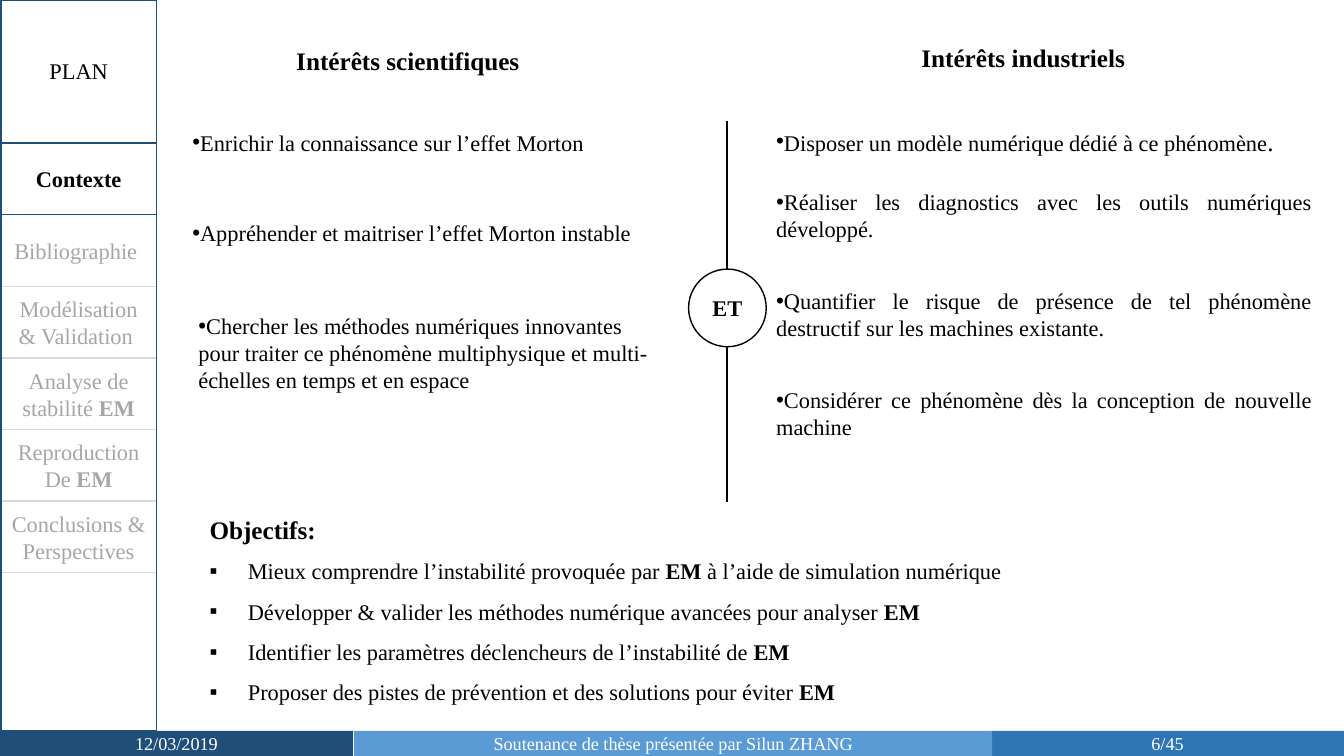
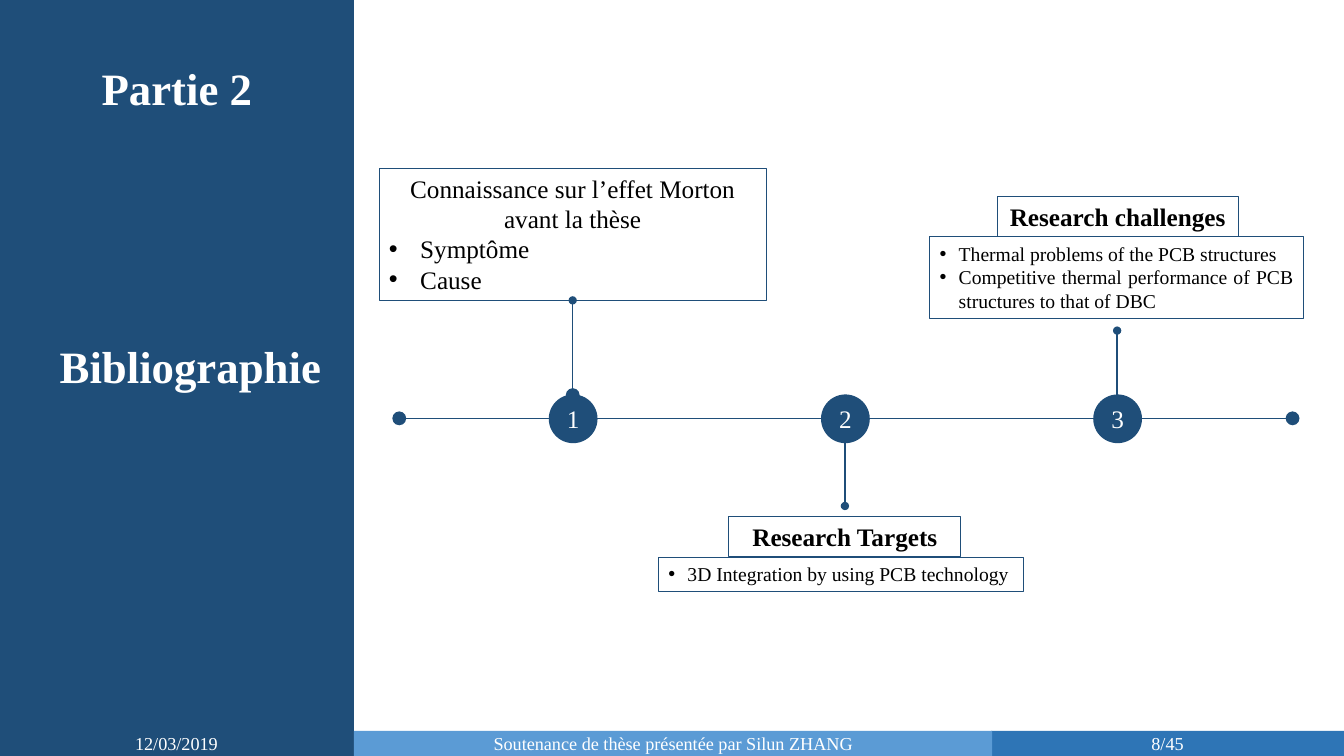
"""Build two thesis defence slides: the context page and the bibliography opener."""

from dataclasses import dataclass, replace

from lxml.etree import SubElement
from pptx import Presentation
from pptx.dml.color import RGBColor
from pptx.enum.shapes import MSO_CONNECTOR, MSO_SHAPE
from pptx.enum.text import MSO_ANCHOR, MSO_AUTO_SIZE, PP_ALIGN
from pptx.oxml.ns import qn
from pptx.util import Emu, Pt

PX = 9144
FONT = "Times New Roman"
BLACK, WHITE = "000000", "FFFFFF"
NAVY, BLUE, SKY = "1F4E79", "2E75B6", "5B9BD5"
GREY_TEXT, GREY_LINE = "A6A6A6", "D9D9D9"
CENTER, JUSTIFY, LEFT = PP_ALIGN.CENTER, PP_ALIGN.JUSTIFY, PP_ALIGN.LEFT
RECT, OVAL = MSO_SHAPE.RECTANGLE, MSO_SHAPE.OVAL


@dataclass(frozen=True)
class Span:
    text: str
    size: int = 16
    color: str = BLACK
    bold: bool = False


@dataclass(frozen=True)
class Para:
    spans: tuple[Span, ...]
    align: PP_ALIGN = LEFT
    bullet: str = ""
    margin: int = 0
    hanging: int = 0
    spacing: float = 1.0


@dataclass(frozen=True)
class Block:
    left: int
    top: int
    width: int
    height: int
    paras: tuple[Para, ...] = ()
    kind: MSO_SHAPE | None = None
    fill: str = ""
    line: str = ""
    weight: float = 1
    middle: bool = False
    wrap: bool = True
    title: bool = False


@dataclass(frozen=True)
class Stroke:
    start: tuple[int, int]
    end: tuple[int, int]
    color: str = NAVY
    weight: float = 1
    head: str = ""
    tail: str = ""


def px(length: int) -> Emu:
    return Emu(length * PX)


def rgb(code: str) -> RGBColor:
    return RGBColor.from_string(code)


def centered(*spans: Span) -> Para:
    return Para(spans, CENTER)


def flush_point(*spans: Span, align: PP_ALIGN = JUSTIFY) -> Para:
    return Para(spans, align, "•", 0, 31)


def hanging_point(text: str, size: int, indent: int, align: PP_ALIGN) -> Para:
    return Para((Span(text, size),), align, "•", indent, indent)


def write_paras(frame, paras: tuple[Para, ...]) -> None:
    for index, item in enumerate(paras):
        para = frame.paragraphs[0] if index == 0 else frame.add_paragraph()
        para.alignment = item.align
        if item.bullet:
            properties = para._p.get_or_add_pPr()
            properties.set("marL", str(px(item.margin)))
            properties.set("indent", str(-px(item.hanging)))
            SubElement(properties, qn("a:buFont"), typeface="Arial")
            SubElement(properties, qn("a:buChar"), char=item.bullet)
        if item.spacing != 1:
            para.line_spacing = item.spacing
        for span in item.spans:
            run = para.add_run()
            run.text = span.text
            run.font.name = FONT
            run.font.size = Pt(span.size)
            run.font.bold = span.bold
            run.font.color.rgb = rgb(span.color)


def paint(shape, block: Block) -> None:
    shape.shadow.inherit = False
    if block.fill:
        shape.fill.solid()
        shape.fill.fore_color.rgb = rgb(block.fill)
    else:
        shape.fill.background()
    if block.line:
        shape.line.color.rgb = rgb(block.line)
        shape.line.width = Pt(block.weight)
    else:
        shape.line.fill.background()


def draw_block(page, block: Block) -> None:
    bounds = [px(v) for v in (block.left, block.top, block.width, block.height)]
    if block.title:
        shape = page.shapes.title
        shape.left, shape.top, shape.width, shape.height = bounds
        shape.element.getparent().append(shape.element)
    elif block.kind is None:
        shape = page.shapes.add_textbox(*bounds)
    else:
        shape = page.shapes.add_shape(block.kind, *bounds)
    paint(shape, block)
    frame = shape.text_frame
    frame.word_wrap = block.wrap
    frame.auto_size = MSO_AUTO_SIZE.NONE
    frame.vertical_anchor = MSO_ANCHOR.MIDDLE if block.middle else MSO_ANCHOR.TOP
    write_paras(frame, block.paras)


def draw_stroke(page, stroke: Stroke) -> None:
    points = [px(v) for v in (*stroke.start, *stroke.end)]
    connector = page.shapes.add_connector(MSO_CONNECTOR.STRAIGHT, *points)
    connector.line.color.rgb = rgb(stroke.color)
    connector.line.width = Pt(stroke.weight)
    properties = connector.element.spPr
    outline = properties.find(qn("a:ln"))
    for tag, size in (("a:headEnd", stroke.head), ("a:tailEnd", stroke.tail)):
        if size:
            SubElement(outline, qn(tag), type="oval", w=size, len=size)
    SubElement(properties, qn("a:effectLst"))


def draw_all(page, *items: Block | Stroke) -> None:
    for item in items:
        if isinstance(item, Stroke):
            draw_stroke(page, item)
        else:
            draw_block(page, item)


def draw_footer(page, number: int) -> None:
    bands = (
        (983, 350, BLUE, f"{number}/45"),
        (0, 350, NAVY, "12/03/2019"),
        (351, 633, SKY, "Soutenance de thèse présentée par Silun ZHANG"),
    )
    for left, width, color, text in bands:
        label = centered(Span(text, 13, WHITE))
        draw_block(page, Block(left, 725, width, 25, (label,), RECT, color, middle=True))


def draw_plan(page) -> None:
    def grey(text: str, bold: bool = False) -> Span:
        return Span(text, color=GREY_TEXT, bold=bold)

    sections = (
        (centered(grey("Bibliographie ")),),
        (centered(grey("Modélisation & Validation ")),),
        (centered(grey("Analyse de stabilité "), grey("EM", True)),),
        (centered(grey("Reproduction")), centered(grey("De "), grey("EM", True))),
        (centered(grey("Conclusions & Perspectives")),),
    )
    current = Block(1, 142, 154, 71, (centered(Span("Contexte", bold=True)),),
                    line=NAVY, middle=True, title=True)
    draw_block(page, Block(9, 52, 138, 37, (centered(Span("PLAN")),)))
    for row, paras in enumerate(sections, start=1):
        top = current.top + row * current.height
        draw_block(page, replace(current, top=top, paras=paras, kind=RECT,
                                 line=GREY_LINE, title=False))
    draw_all(page, Block(1, 0, 154, 725, kind=RECT, line=NAVY), current)


def goal(before: str, after: str = "") -> Para:
    spans = (Span(before), Span("EM", bold=True))
    if after:
        spans += (Span(after),)
    return Para(spans, LEFT, "▪", 38, 38, 1.5)


def build_context(page) -> None:
    draw_plan(page)
    draw_footer(page, 6)
    draw_all(
        page,
        Block(904, 37, 243, 40, (Para((Span("Intérêts industriels", 18, bold=True),)),)),
        Block(284, 40, 250, 40, (Para((Span("Intérêts scientifiques", 18, bold=True),)),)),
        Stroke((721, 120), (721, 498), BLACK, 1.5),
        Block(683, 267, 77, 77, (centered(Span("ET", bold=True)),),
              OVAL, WHITE, BLACK, middle=True),
        Block(198, 505, 888, 206, (
            Para((Span("Objectifs:", 18, bold=True),)),
            goal("Mieux comprendre l’instabilité provoquée par ",
                 " à l’aide de simulation numérique"),
            goal("Développer & valider les méthodes numérique avancées pour analyser "),
            goal("Identifier les paramètres déclencheurs de l’instabilité de "),
            goal("Proposer des pistes de prévention et des solutions pour éviter "),
        )),
        Block(181, 123, 516, 37,
              (flush_point(Span("Enrichir la connaissance sur l’effet Morton")),)),
        Block(181, 213, 486, 37,
              (flush_point(Span("Appréhender et maitriser l’effet Morton instable")),)),
        Block(187, 305, 477, 118, (flush_point(
            Span("Chercher les méthodes numériques innovantes pour traiter ce phénomène "
                 "multiphysique et multi-échelles en temps et en espace"), align=LEFT),)),
        Block(760, 120, 551, 40, (flush_point(
            Span("Disposer un modèle numérique dédié à ce phénomène"), Span(".", 18)),)),
    )
    industrial = (
        "Réaliser les diagnostics avec les outils numériques développé.",
        "Quantifier le risque de présence de tel phénomène destructif sur les machines "
        "existante.",
        "Considérer ce phénomène dès la conception de nouvelle machine",
    )
    for row, text in enumerate(industrial):
        draw_block(page, Block(760, 182 + 98 * row, 551, 64, (flush_point(Span(text)),)))


def card(left: int, top: int, width: int, height: int, *paras: Para) -> Block:
    return Block(left, top, width, height, paras, RECT, line=NAVY, weight=0.75)


def build_bibliography(page) -> None:
    draw_all(
        page,
        Block(0, 0, 350, 750, kind=RECT, fill=NAVY, line=NAVY),
        Block(48, 331, 282, 64, (centered(Span("Bibliographie", 32, WHITE, True)),),
              wrap=False, title=True),
        Block(90, 55, 171, 64, (centered(Span("Partie 2", 32, WHITE, True)),), wrap=False),
    )
    draw_footer(page, 8)
    axis, first, step, size = 415, 568, 270, 47
    for index, (start, end) in enumerate(((298, 392), (502, axis), (328, axis))):
        x = first + step * index
        draw_stroke(page, Stroke((x, start), (x, end), head="med", tail="lg"))
    draw_stroke(page, Stroke((396, axis), (1282, axis), head="lg", tail="lg"))
    for index in range(3):
        draw_block(page, Block(first + step * index - size // 2, axis - size // 2, size, size,
                               (centered(Span(str(index + 1), 18, WHITE)),),
                               OVAL, NAVY, NAVY, middle=True))
    draw_all(
        page,
        card(376, 167, 384, 131,
             centered(Span("Connaissance sur l’effet Morton avant la thèse", 18)),
             hanging_point("Symptôme", 18, 31, LEFT),
             hanging_point("Cause", 18, 31, LEFT)),
        card(653, 553, 362, 34,
             hanging_point("3D Integration by using PCB technology", 14, 19, JUSTIFY)),
        card(723, 512, 230, 40, centered(Span("Research Targets", 18, bold=True))),
        card(922, 235, 371, 81,
             hanging_point("Thermal problems of the PCB structures", 14, 19, JUSTIFY),
             hanging_point("Competitive thermal performance of PCB structures to that of DBC",
                           14, 19, JUSTIFY)),
        card(989, 195, 239, 40, centered(Span("Research challenges", 18, bold=True))),
    )


def main() -> None:
    deck = Presentation()
    deck.slide_width, deck.slide_height = px(1333), px(750)
    title_only = deck.slide_layouts[5]
    for build in (build_context, build_bibliography):
        build(deck.slides.add_slide(title_only))
    deck.save("out.pptx")


if __name__ == "__main__":
    main()
